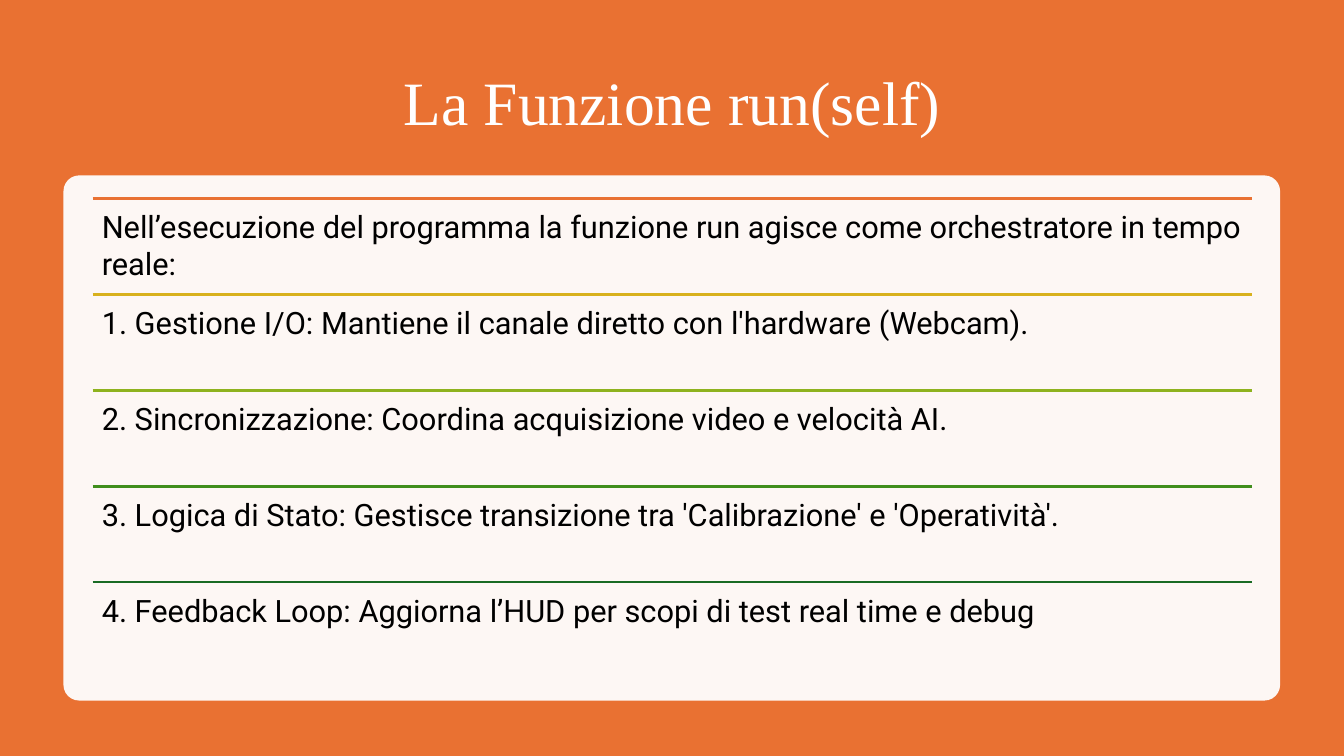
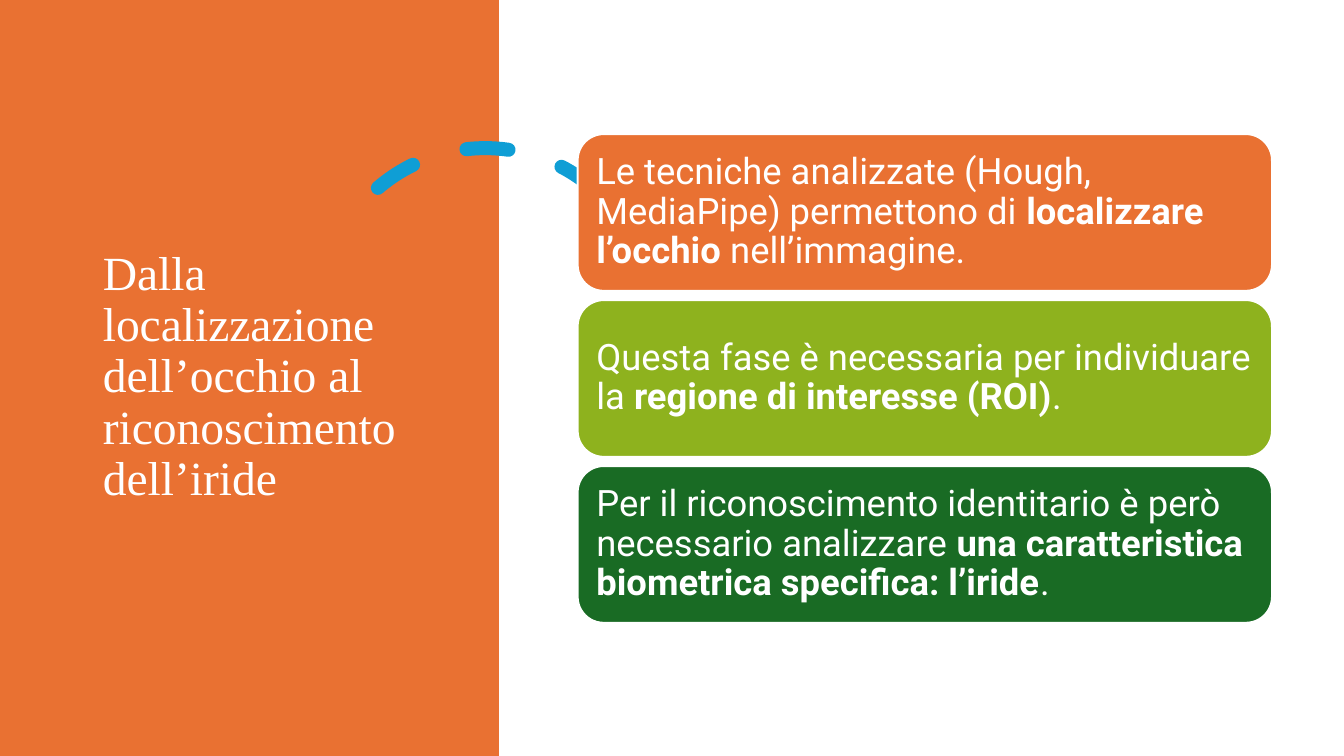
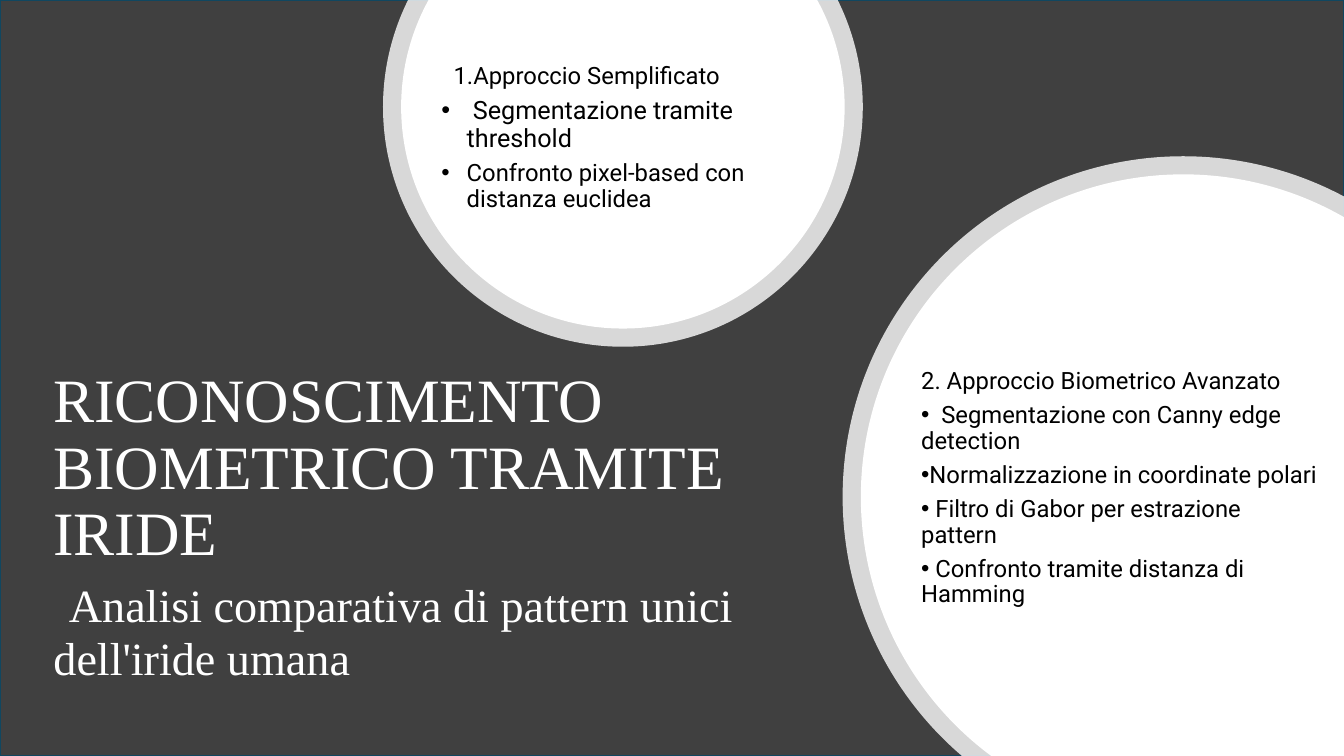
from dataclasses import dataclass
from math import acos, asin, cos, pi, sin, tan

from lxml.etree import SubElement
from pptx import Presentation
from pptx.dml.color import RGBColor
from pptx.enum.dml import MSO_LINE
from pptx.enum.shapes import MSO_CONNECTOR, MSO_SHAPE
from pptx.enum.text import MSO_ANCHOR, MSO_AUTO_SIZE, PP_ALIGN
from pptx.oxml.ns import qn
from pptx.util import Inches, Pt


@dataclass(frozen=True)
class Theme:
    title_font: str = "Times New Roman"
    body_font: str = "Roboto"
    bullet_font: str = "Arial"
    white: str = "FFFFFF"
    black: str = "000000"
    orange: str = "E97132"
    gold: str = "D8B11D"
    lime: str = "8EB21E"
    leaf: str = "408E1C"
    forest: str = "196B24"
    sky: str = "0F9ED5"
    charcoal: str = "404040"
    navy: str = "104760"
    title_size: int = 44
    side_title_size: int = 34
    subtitle_size: int = 33
    card_size: int = 26
    row_size: int = 22
    list_size: int = 17
    list_large_size: int = 18
    rule_width: float = 1.5


THEME = Theme()
WIDTH, HEIGHT = 40 / 3, 7.5
TITLE_ONLY, TITLE_AND_BODY = 5, 1
HARD_SPACE = chr(160)


def rgb(value):
    return RGBColor.from_string(value)


def paint(shape, fill=None, line=None, width=THEME.rule_width, opacity=100):
    shape.shadow.inherit = False
    if fill:
        shape.fill.solid()
        shape.fill.fore_color.rgb = rgb(fill)
        if opacity < 100:
            color = shape._element.spPr.find(qn("a:solidFill"))[0]
            SubElement(color, qn("a:alpha"), val=str(opacity * 1000))
    else:
        shape.fill.background()
    if line:
        shape.line.color.rgb = rgb(line)
        shape.line.width = Pt(width)
    else:
        shape.line.fill.background()
    return shape


def add_block(page, box, kind=MSO_SHAPE.RECTANGLE, **look):
    return paint(page.shapes.add_shape(kind, *map(Inches, box)), **look)


def set_frame(shape, anchor, inset=None):
    frame = shape.text_frame
    settings = {"word_wrap": True, "auto_size": MSO_AUTO_SIZE.NONE, "vertical_anchor": anchor}
    if inset is not None:
        sides = ("left", "top", "right", "bottom")
        settings |= {f"margin_{side}": Inches(inset) for side in sides}
    for name, value in settings.items():
        setattr(frame, name, value)
    return frame


def write(para, runs, size, color, font=THEME.body_font, align=PP_ALIGN.LEFT,
          spacing=0.9, after=0):
    """Fill a paragraph from (text, overrides) runs; a newline is a line break."""
    layout = {"alignment": align, "line_spacing": spacing,
              "space_before": Pt(0), "space_after": Pt(after)}
    for name, value in layout.items():
        setattr(para, name, value)
    for text, overrides in runs:
        style = {"name": font, "size": Pt(size), "bold": False} | overrides
        for index, piece in enumerate(text.split("\n")):
            if index:
                para.add_line_break()
            span = para.add_run()
            span.text = piece
            span.font.color.rgb = rgb(color)
            for name, value in style.items():
                setattr(span.font, name, value)


def set_bullet(para, margin, indent, bullet):
    properties = para._p.get_or_add_pPr()
    properties.set("marL", str(Inches(margin)))
    properties.set("indent", str(Inches(indent)))
    if bullet:
        SubElement(properties, qn("a:buFont"), typeface=THEME.bullet_font)
        SubElement(properties, qn("a:buChar"), char="•")
    else:
        SubElement(properties, qn("a:buNone"))


def place(page, holder, box):
    """Move a placeholder to the box and to the front of the page."""
    holder.left, holder.top, holder.width, holder.height = map(Inches, box)
    page.shapes._spTree.append(holder._element)
    return holder


def add_title(page, box, runs, size=THEME.title_size, align=PP_ALIGN.LEFT):
    frame = set_frame(place(page, page.shapes.title, box), MSO_ANCHOR.MIDDLE)
    write(frame.paragraphs[0], runs, size, THEME.white, THEME.title_font, align)


def add_ruled_rows(page, box, rows):
    left, top, width, height = box
    step = height / len(rows)
    for index, (color, text) in enumerate(rows):
        y = top + index * step
        rule = page.shapes.add_connector(
            MSO_CONNECTOR.STRAIGHT, *map(Inches, (left, y, left + width, y)))
        rule.line.color.rgb = rgb(color)
        rule.line.width = Pt(THEME.rule_width)
        SubElement(rule._element.spPr, qn("a:effectLst"))
        row = page.shapes.add_textbox(*map(Inches, (left, y, width, step)))
        frame = set_frame(row, MSO_ANCHOR.TOP, 0.09)
        write(frame.paragraphs[0], [(text, {})], THEME.row_size, THEME.black, spacing=1)


def add_cards(page, box, cards, gap):
    left, top, width, height = box
    card_height = (height - gap * (len(cards) - 1)) / len(cards)
    for index, (color, runs) in enumerate(cards):
        y = top + index * (card_height + gap)
        card = add_block(page, (left, y, width, card_height), MSO_SHAPE.ROUNDED_RECTANGLE,
                         fill=color, line=THEME.white)
        frame = set_frame(card, MSO_ANCHOR.MIDDLE, 0.11)
        write(frame.paragraphs[0], runs, THEME.card_size, THEME.white)


def add_dashed_arc(page, box):
    arc = add_block(page, box, MSO_SHAPE.ARC, line=THEME.sky, width=10)
    arc.adjustments[0] = 146.13
    arc.adjustments[1] = 0
    arc.rotation = 345.8
    arc.line.dash_style = MSO_LINE.DASH
    arc.line._get_or_add_ln().set("cap", "rnd")


def add_cut_disc(page, center, radius, start, end, corners, opacity):
    """Draw a white disc: an arc from start to end, closed through the corners."""
    def on_circle(angle):
        return center[0] + radius * cos(angle), center[1] + radius * sin(angle)

    quadrants = [turn * pi / 2 for turn in range(4) if start < turn * pi / 2 < end]
    angles = [start, *quadrants, end]
    points = [tuple(map(Inches, point)) for point in [*map(on_circle, angles), *corners]]
    outline = page.shapes.build_freeform(*points[0])
    outline.add_line_segments(points[1:], close=True)
    disc = paint(outline.convert_to_shape(), fill=THEME.white, opacity=opacity)
    segments = list(disc._element.iter(qn("a:lnTo")))
    for segment, first, last in zip(segments, angles, angles[1:]):
        reach = 4 / 3 * tan((last - first) / 4) * radius
        (x1, y1), (x2, y2) = on_circle(first), on_circle(last)
        controls = [(x1 - reach * sin(first), y1 + reach * cos(first)),
                    (x2 + reach * sin(last), y2 - reach * cos(last))]
        segment.tag = qn("a:cubicBezTo")
        for index, (x, y) in enumerate(controls):
            point = SubElement(segment, qn("a:pt"), x=str(Inches(x) - disc.left),
                               y=str(Inches(y) - disc.top))
            segment.insert(index, point)


def add_top_disc(page, center, radius, opacity=100):
    cut = asin(center[1] / radius)
    add_cut_disc(page, center, radius, -cut, pi + cut, [], opacity)


def add_corner_disc(page, center, radius, opacity=100):
    start = pi - asin((HEIGHT - center[1]) / radius)
    end = 2 * pi - acos((WIDTH - center[0]) / radius)
    add_cut_disc(page, center, radius, start, end, [(WIDTH, HEIGHT)], opacity)


def write_list(shape, items):
    """Write (text, size, margin, indent, bullet) items."""
    frame = set_frame(shape, MSO_ANCHOR.MIDDLE)
    for index, (text, size, margin, indent, bullet) in enumerate(items):
        para = frame.add_paragraph() if index else frame.paragraphs[0]
        write(para, [(text, {})], size, THEME.black, after=6)
        set_bullet(para, margin, indent, bullet)


def new_page(deck, layout):
    return deck.slides.add_slide(deck.slide_layouts[layout])


def build_run_page(deck):
    page = new_page(deck, TITLE_ONLY)
    add_block(page, (0, 0, WIDTH, HEIGHT), fill=THEME.orange)
    add_title(page, (0.92, 0.5, 11.5, 1.1), [("La Funzione run(self)", {})],
              align=PP_ALIGN.CENTER)
    panel = add_block(page, (0.63, 1.74, 12.07, 5.21), MSO_SHAPE.ROUNDED_RECTANGLE,
                      fill=THEME.white, opacity=95)
    panel.adjustments[0] = 0.03
    add_ruled_rows(page, (0.92, 1.97, 11.5, 4.76), [
        (THEME.orange, "Nell’esecuzione del programma la funzione run agisce come "
                       "orchestratore in tempo reale:"),
        (THEME.gold, "1. Gestione I/O: Mantiene il canale diretto con l'hardware (Webcam)."),
        (THEME.lime, "2. Sincronizzazione: Coordina acquisizione video e velocità AI."),
        (THEME.leaf, "3. Logica di Stato: Gestisce transizione tra 'Calibrazione' "
                     "e 'Operatività'."),
        (THEME.forest, "4. Feedback Loop: Aggiorna l’HUD per scopi di test real time e debug"),
    ])


def build_iris_page(deck):
    page = new_page(deck, TITLE_ONLY)
    bold = {"bold": True}
    add_block(page, (0, 0, 4.95, HEIGHT), fill=THEME.orange)
    add_dashed_arc(page, (3.18, 1.47, 3.27, 3.27))
    add_title(page, (0.92, 0.7, 3.23, 6.09),
              [("Dalla localizzazione dell’occhio al riconoscimento dell’iride", {})],
              THEME.side_title_size)
    add_cards(page, (5.73, 1.33, 6.89, 4.85), [
        (THEME.orange, [
            (f"Le tecniche analizzate (Hough, MediaPipe) permettono di{HARD_SPACE}", {}),
            ("localizzare l’occhio", bold), (f"{HARD_SPACE}nell’immagine.", {})]),
        (THEME.lime, [
            (f"Questa fase è necessaria per individuare la{HARD_SPACE}", {}),
            ("regione di interesse (ROI)", bold), (".", {})]),
        (THEME.forest, [
            (f"Per il riconoscimento identitario è però necessario analizzare{HARD_SPACE}", {}),
            ("una caratteristica biometrica specifica: l’iride", bold), (".", {})]),
    ], gap=0.09)


def build_comparison_page(deck):
    page = new_page(deck, TITLE_AND_BODY)
    normal, large = THEME.list_size, THEME.list_large_size
    add_block(page, (0, 0, WIDTH, HEIGHT), fill=THEME.charcoal, line=THEME.navy)
    add_title(page, (0.43, 3.75, 8.03, 2.97), [
        (f"RICONOSCIMENTO BIOMETRICO TRAMITE IRIDE\n{HARD_SPACE}", {}),
        ("Analisi comparativa di pattern unici dell'iride umana",
         {"size": Pt(THEME.subtitle_size)}),
    ])
    top_center, corner_center = (6.18, 1.06), (11.74, 4.93)
    add_top_disc(page, top_center, 2.38, opacity=80)
    add_corner_disc(page, corner_center, 3.38, opacity=80)
    add_top_disc(page, top_center, 2.2)
    simple = place(page, page.placeholders[1], (4.28, 0.39, 3.91, 1.96))
    write_list(simple, [
        (f"1.Approccio Semplificato{HARD_SPACE}", normal, 0.12, 0, False),
        (" Segmentazione tramite threshold", large, 0.25, -0.25, True),
        (f"Confronto pixel-based con distanza euclidea{HARD_SPACE}", normal, 0.25, -0.25, True),
    ])
    add_corner_disc(page, corner_center, 3.2)
    advanced = page.shapes.add_textbox(*map(Inches, (9.04, 3.26, 4.22, 3.17)))
    steps = [f"{HARD_SPACE} Segmentazione con Canny edge detection{HARD_SPACE}",
             f"Normalizzazione in coordinate polari{HARD_SPACE}",
             f" Filtro di Gabor per estrazione pattern{HARD_SPACE}",
             " Confronto tramite distanza di Hamming"]
    write_list(advanced, [("2. Approccio Biometrico Avanzato", normal, 0, 0, False)]
               + [(step, normal, 0, -0.25, True) for step in steps])


def main():
    deck = Presentation()
    deck.slide_width, deck.slide_height = Inches(WIDTH), Inches(HEIGHT)
    for build in (build_run_page, build_iris_page, build_comparison_page):
        build(deck)
    deck.save("out.pptx")


if __name__ == "__main__":
    main()
